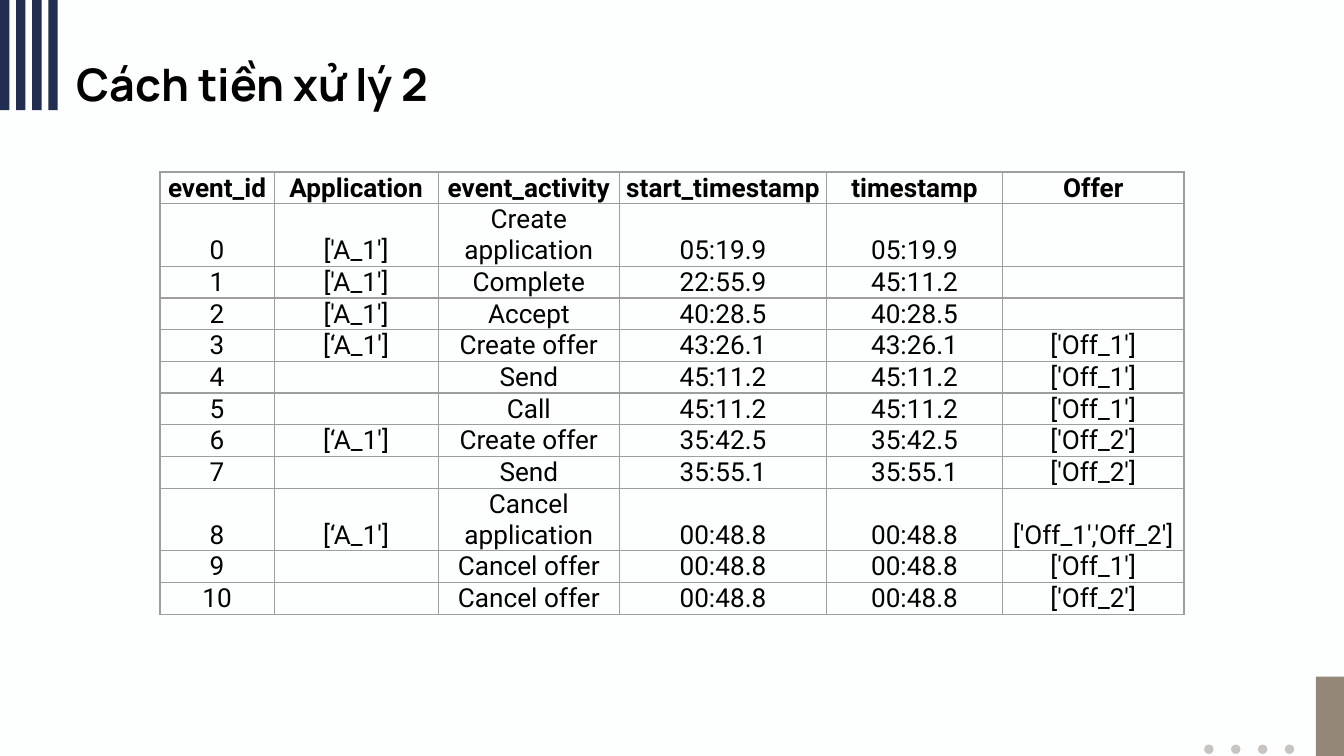
import lxml.etree
import pptx
import pptx.dml.color
import pptx.enum.shapes
import pptx.enum.text
import pptx.oxml.ns
import pptx.util

TITLE = "Cách tiền xử lý 2"
HEADER = ("event_id", "Application", "event_activity", "start_timestamp", "timestamp", "Offer")
EVENTS = [
    ("0", "['A_1']", "Create application", "05:19.9", "05:19.9", ""),
    ("1", "['A_1']", "Complete", "22:55.9", "45:11.2", ""),
    ("2", "['A_1']", "Accept", "40:28.5", "40:28.5", ""),
    ("3", "[‘A_1']", "Create offer", "43:26.1", "43:26.1", "['Off_1']"),
    ("4", "", "Send", "45:11.2", "45:11.2", "['Off_1']"),
    ("5", "", "Call", "45:11.2", "45:11.2", "['Off_1']"),
    ("6", "[‘A_1']", "Create offer", "35:42.5", "35:42.5", "['Off_2']"),
    ("7", "", "Send", "35:55.1", "35:55.1", "['Off_2']"),
    ("8", "[‘A_1']", "Cancel application", "00:48.8", "00:48.8", "['Off_1','Off_2']"),
    ("9", "", "Cancel offer", "00:48.8", "00:48.8", "['Off_1']"),
    ("10", "", "Cancel offer", "00:48.8", "00:48.8", "['Off_2']"),
]
COLUMN_WIDTHS = (0.85, 1.22, 1.35, 1.54, 1.31, 1.35)
LINE_HEIGHT = 0.23
TEXT_SIZE = 14
COLORS = {
    "background": "FDFFFE", "text": "000000", "stripe": "212E51",
    "dot": "C7C5C1", "block": "948777", "border": "9E9E9E",
}
WIDTH = 10
HEIGHT = WIDTH * 9 / 16
Inches, Pt = pptx.util.Inches, pptx.util.Pt
SHAPES = pptx.enum.shapes.MSO_SHAPE


def color(name):
    return pptx.dml.color.RGBColor.from_string(COLORS[name])


def style_font(font, name, size, bold):
    font.name, font.size, font.bold = name, Pt(size), bold
    font.color.rgb = color("text")


def add_decoration(slide, kind, left, top, width, height, fill):
    shape = slide.shapes.add_shape(kind, *map(Inches, (left, top, width, height)))
    shape.shadow.inherit = False
    shape.fill.solid()
    shape.fill.fore_color.rgb = color(fill)
    shape.line.fill.background()


def add_borders(cell):
    properties = cell._tc.get_or_add_tcPr()
    for side in ("lnL", "lnR", "lnT", "lnB"):
        line = lxml.etree.SubElement(properties, pptx.oxml.ns.qn(f"a:{side}"), w=str(Pt(0.75)))
        fill = lxml.etree.SubElement(line, pptx.oxml.ns.qn("a:solidFill"))
        lxml.etree.SubElement(fill, pptx.oxml.ns.qn("a:srgbClr"), val=COLORS["border"])


def fill_cell(cell, text, bold):
    add_borders(cell)
    cell.fill.background()
    cell.margin_left = cell.margin_right = cell.margin_top = Pt(0.4)
    cell.margin_bottom = 0
    cell.vertical_anchor = pptx.enum.text.MSO_ANCHOR.BOTTOM
    cell.text = text
    paragraph = cell.text_frame.paragraphs[0]
    paragraph.alignment = pptx.enum.text.PP_ALIGN.CENTER
    style_font(paragraph.font, "Roboto", TEXT_SIZE, bold)
    if not text:  # an empty cell takes its line height from the end mark
        lxml.etree.SubElement(paragraph._p, pptx.oxml.ns.qn("a:endParaRPr"), sz=str(TEXT_SIZE * 100))


def add_title(slide):
    title = slide.shapes.title
    title.left, title.top, title.width, title.height = map(Inches, (0.32, 0.31, 4.95, 0.63))
    frame = title.text_frame
    frame.text = TITLE
    frame.auto_size = pptx.enum.text.MSO_AUTO_SIZE.NONE
    frame.vertical_anchor = pptx.enum.text.MSO_ANCHOR.MIDDLE
    frame.margin_left = frame.margin_right = frame.margin_top = frame.margin_bottom = Inches(0.1)
    paragraph = frame.paragraphs[0]
    paragraph.alignment = pptx.enum.text.PP_ALIGN.LEFT
    paragraph._p.get_or_add_pPr().set("marL", str(Inches(0.15)))
    style_font(paragraph.font, "Manrope", 24, True)


def add_event_table(slide):
    rows = [HEADER, *EVENTS]
    table_width = sum(COLUMN_WIDTHS)
    frame = slide.shapes.add_table(
        len(rows), len(HEADER), Inches((WIDTH - table_width) / 2), Inches(1.28),
        Inches(table_width), Inches(LINE_HEIGHT * len(rows)))
    table = frame.table
    table.first_row = table.horz_banding = False
    for column, width in zip(table.columns, COLUMN_WIDTHS):
        column.width = Inches(width)
    for row, texts in zip(table.rows, rows):
        lines = 2 if texts[2].endswith("application") else 1
        row.height = Inches(LINE_HEIGHT * lines)
        for cell, text in zip(row.cells, texts):
            fill_cell(cell, text, bold=texts is HEADER)


def main():
    presentation = pptx.Presentation()
    presentation.slide_width, presentation.slide_height = Inches(WIDTH), Inches(HEIGHT)
    slide = presentation.slides.add_slide(presentation.slide_layouts[5])
    slide.background.fill.solid()
    slide.background.fill.fore_color.rgb = color("background")
    for index in range(4):
        add_decoration(slide, SHAPES.RECTANGLE, index * 0.12, 0, 0.07, 0.82, "stripe")
        add_decoration(slide, SHAPES.OVAL, 8.96 + index * 0.2, 5.54, 0.07, 0.07, "dot")
    add_decoration(slide, SHAPES.RECTANGLE, WIDTH - 0.21, HEIGHT - 0.59, 0.21, 0.59, "block")
    add_title(slide)
    add_event_table(slide)
    presentation.save("out.pptx")


if __name__ == "__main__":
    main()
